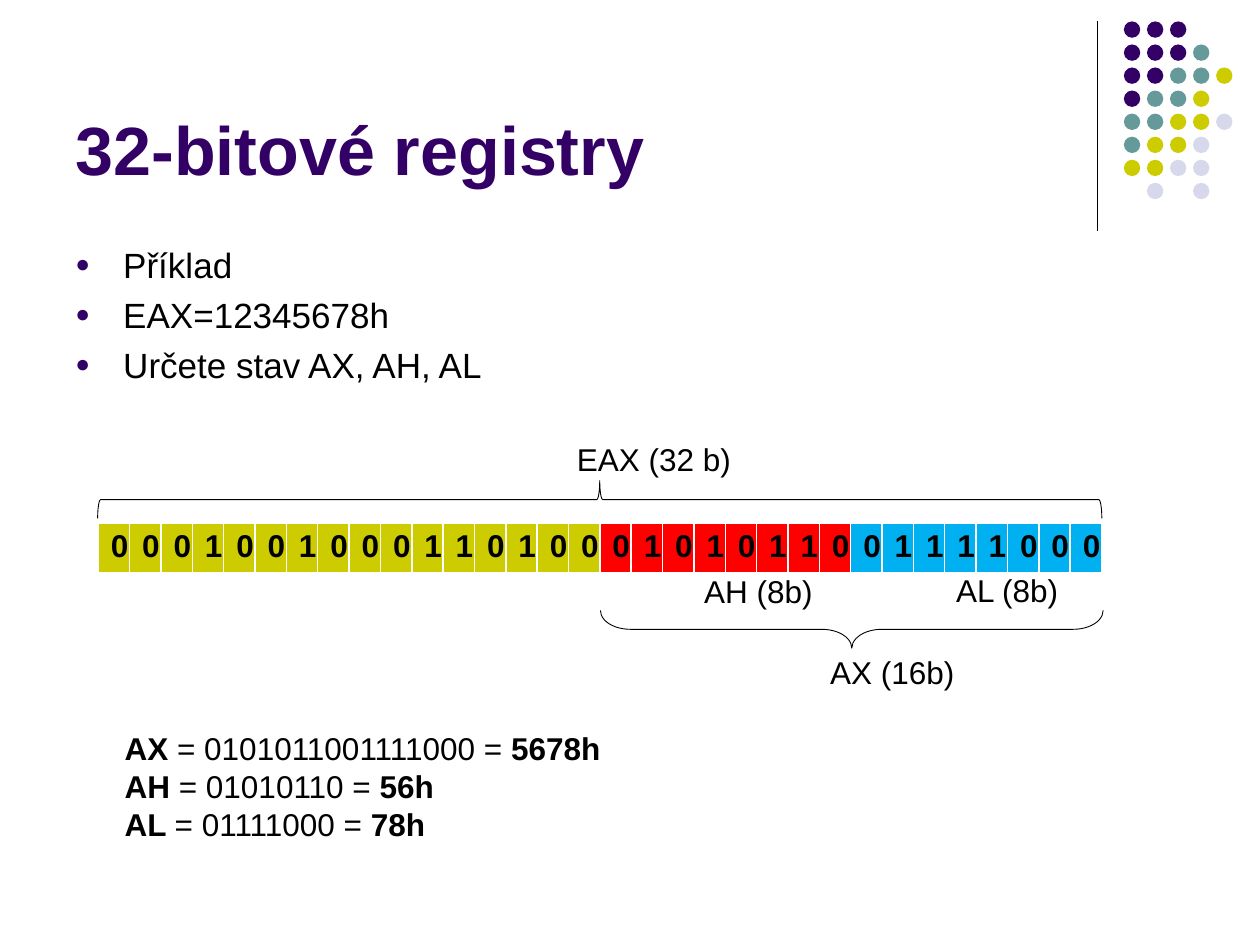
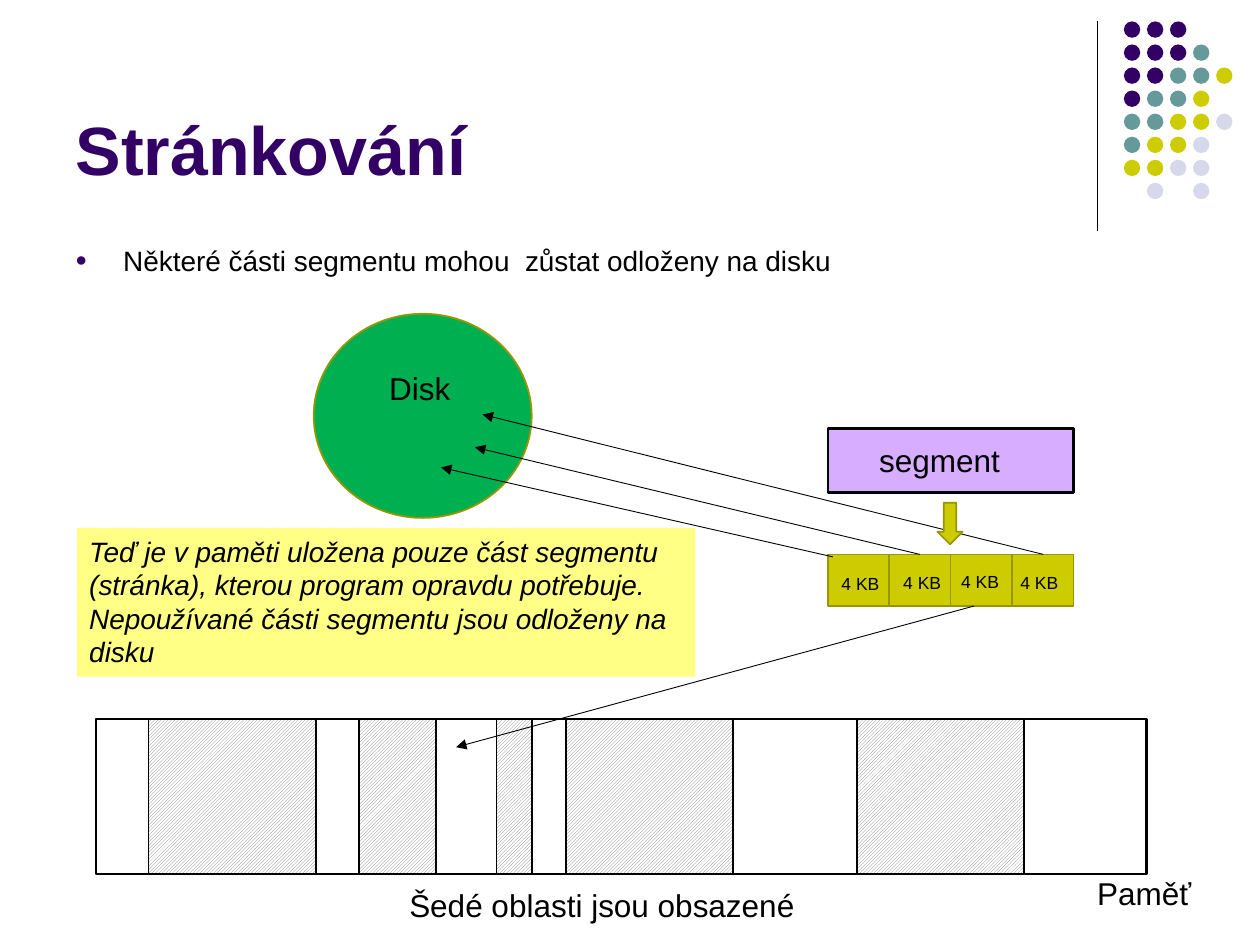
import dataclasses
import typing

import lxml.etree
import pptx
import pptx.dml.color
import pptx.enum.dml
import pptx.enum.shapes
import pptx.enum.text
import pptx.oxml.ns
import pptx.util

COLS, ROWS = 100, 75
FONT = "Arial"
BLACK, WHITE, GREY = "000000", "FFFFFF", "808080"
PURPLE, TEAL, YELLOW, PALE = "330066", "669999", "CCCC00", "D8D8EC"
RED, BLUE, GREEN, LILAC, CREAM, OLIVE = "FF0000", "00B0F0", "00B050", "D6ADFF", "FFFF85", "979700"
SHAPE = pptx.enum.shapes.MSO_SHAPE
ANCHOR = pptx.enum.text.MSO_ANCHOR
ALIGN = pptx.enum.text.PP_ALIGN
DOT_COLOURS = {"P": PURPLE, "T": TEAL, "Y": YELLOW, "L": PALE}
DOT_ROWS = ["PPP", "PPPT", "PPTTY", "PTTY", "TTYYL", "TYYL", "YYLL", ".L.L"]


@dataclasses.dataclass
class Box:
    col: float
    row: float
    cols: float
    rows: float

    def emu(self, prs) -> typing.List[int]:
        w, h = prs.slide_width / COLS, prs.slide_height / ROWS
        return [round(v) for v in (self.col * w, self.row * h, self.cols * w, self.rows * h)]


@dataclasses.dataclass
class Label:
    text: str
    box: Box
    size: float = 18


@dataclasses.dataclass
class Arrow:
    start: typing.Tuple[float, float]
    end: typing.Tuple[float, float]


@dataclasses.dataclass
class Brace:
    box: Box
    rotation: float
    curve: float


prs = pptx.Presentation()
prs.slide_width, prs.slide_height = pptx.util.Inches(10), pptx.util.Inches(7.5)


def rgb(colour: str):
    return pptx.dml.color.RGBColor.from_string(colour)


def sub(parent, tag: str, **attrs: str):
    return lxml.etree.SubElement(parent, pptx.oxml.ns.qn(tag), **attrs)


def write(tf, text: str, *, size: float = 18, colour: str = BLACK, bold: bool = False,
          italic: bool = False, align=ALIGN.LEFT, anchor=ANCHOR.TOP, bullet: bool = False) -> None:
    tf.word_wrap = True
    tf.vertical_anchor = anchor
    for i, line in enumerate(text.split("\n")):
        p = tf.paragraphs[0] if i == 0 else tf.add_paragraph()
        p.alignment = align
        if bullet:
            p.space_before = pptx.util.Pt(round(size * 0.23, 1))
            pPr = p._p.get_or_add_pPr()
            indent = pptx.util.Inches(0.38)
            pPr.set("marL", str(indent))
            pPr.set("indent", str(-indent))
            sub(sub(pPr, "a:buClr"), "a:srgbClr", val=PURPLE)
            sub(pPr, "a:buSzPct", val="70000")
            sub(pPr, "a:buFont", typeface=FONT)
            sub(pPr, "a:buChar", char="●")
        for j, part in enumerate(line.split("*")):
            if part:
                r = p.add_run()
                r.text = part
                r.font.name, r.font.size = FONT, pptx.util.Pt(size)
                r.font.bold, r.font.italic = bold or j % 2 == 1, italic
                r.font.color.rgb = rgb(colour)


def add_label(s, label: Label, **fmt) -> None:
    sp = s.shapes.add_textbox(*label.box.emu(prs))
    write(sp.text_frame, label.text, size=label.size, **fmt)


def add_shape(shapes, kind, box: Box, fill: typing.Optional[str] = None,
              line: typing.Optional[str] = None, width: float = 1, hatched: bool = False):
    sp = shapes.add_shape(kind, *box.emu(prs))
    sp.shadow.inherit = False
    if hatched:
        sp.fill.patterned()
        sp.fill.pattern = pptx.enum.dml.MSO_PATTERN.LIGHT_UPWARD_DIAGONAL
        sp.fill.fore_color.rgb, sp.fill.back_color.rgb = rgb(GREY), rgb(WHITE)
    elif fill:
        sp.fill.solid()
        sp.fill.fore_color.rgb = rgb(fill)
    else:
        sp.fill.background()
    if line:
        sp.line.color.rgb, sp.line.width = rgb(line), pptx.util.Pt(width)
    else:
        sp.line.fill.background()
    return sp


def add_line(s, arrow: Arrow, width: float = 0.5, head: bool = True) -> None:
    x1, y1, x2, y2 = Box(*arrow.start, *arrow.end).emu(prs)
    cn = s.shapes.add_connector(pptx.enum.shapes.MSO_CONNECTOR.STRAIGHT, x1, y1, x2, y2)
    cn.line.color.rgb, cn.line.width = rgb(BLACK), pptx.util.Pt(width)
    if head:
        sub(cn.line._get_or_add_ln(), "a:tailEnd", type="triangle")
    sub(cn._element.spPr, "a:effectLst")


def add_brace(s, brace: Brace) -> None:
    sp = add_shape(s.shapes, SHAPE.RIGHT_BRACE, brace.box, line=BLACK, width=0.5)
    sp.rotation = brace.rotation
    sp.adjustments[0] = brace.curve


def add_slide(title: str, bullets: str, size: float):
    s = prs.slides.add_slide(prs.slide_layouts[5])
    add_line(s, Arrow((87.1, 1.7), (87.1, 18.3)), width=0.75, head=False)
    dots = s.shapes.add_group_shape().shapes
    pitch = 1.83
    for row, keys in enumerate(DOT_ROWS):
        for col, key in enumerate(keys):
            if key in DOT_COLOURS:
                box = Box(89.2 + col * pitch, 1.7 + row * pitch, 1.3, 1.3)
                add_shape(dots, SHAPE.OVAL, box, DOT_COLOURS[key])
    sp = s.shapes.title
    sp.left, sp.top, sp.width, sp.height = Box(5, 1.3, 82.5, 14.2).emu(prs)
    write(sp.text_frame, title, size=39, colour=PURPLE, bold=True, anchor=ANCHOR.BOTTOM)
    add_label(s, Label(bullets, Box(5, 18.8, 90, 48.2), size), bullet=True)
    return s


def add_bits(s, box: Box, groups: typing.List[typing.Tuple[str, str]]) -> None:
    bits = [(bit, fill) for digits, fill in groups for bit in digits]
    left, top, width, height = box.emu(prs)
    table = s.shapes.add_table(1, len(bits), left, top, width, height).table
    table.first_row = table.horz_banding = False
    for i, (bit, fill) in enumerate(bits):
        table.columns[i].width = width // len(bits)
        cell = table.cell(0, i)
        write(cell.text_frame, bit, bold=True, align=ALIGN.CENTER)
        tcPr = cell._tc.get_or_add_tcPr()
        for side, pt in (("L", 1), ("R", 1), ("T", 1), ("B", 3)):
            ln = sub(tcPr, "a:ln" + side, w=str(pptx.util.Pt(pt)))
            sub(sub(ln, "a:solidFill"), "a:srgbClr", val=WHITE)
        cell.fill.solid()
        cell.fill.fore_color.rgb = rgb(fill)


def registers_slide() -> None:
    s = add_slide("32-bitové registry", "Příklad\nEAX=12345678h\nUrčete stav AX, AH, AL", 20)
    add_bits(s, Box(7.8, 41.5, 79.7, 4.1),
             [("0001001000110100", YELLOW), ("01010110", RED), ("01111000", BLUE)])
    add_brace(s, Brace(Box(46.1, -0.2, 3, 79.7), 270, 0.08))
    add_brace(s, Brace(Box(66.1, 30, 3, 39.9), 90, 0.79))
    for label in (
        Label("AX (16b)", Box(64.9, 51.3, 12.5, 4)),
        Label("EAX (32 b)", Box(44.8, 34.4, 14.9, 4)),
        Label("AH (8b)", Box(54.9, 44.9, 12.5, 4)),
        Label("AL (8b)", Box(74.9, 44.8, 12.6, 4)),
        Label("*AX *= 0101011001111000 = *5678h*\n*AH *= 01010110 = *56h*\n"
              "*AL *= 01111000 = *78h*", Box(8.9, 57.4, 41.8, 10.1)),
    ):
        add_label(s, label)


def paging_slide() -> None:
    s = add_slide("Stránkování", "Některé části segmentu mohou  zůstat odloženy na disku", 16)
    add_shape(s.shapes, SHAPE.RECTANGLE, Box(7.6, 57.1, 83.4, 12.3), WHITE, BLACK, 1.25)
    for col, cols in ((11.8, 13.3), (28.5, 6.1), (39.4, 2.8), (44.9, 13.3), (68, 13.3)):
        add_shape(s.shapes, SHAPE.RECTANGLE, Box(col, 57.1, cols, 12.3), line=BLACK, hatched=True)
    add_label(s, Label("Paměť", Box(86.1, 68.9, 11.1, 4)))
    add_label(s, Label("Šedé oblasti jsou obsazené", Box(31.5, 69.8, 50.7, 4)))

    add_shape(s.shapes, SHAPE.RECTANGLE, Box(65.7, 34, 19.5, 5.1), LILAC, BLACK, 1.5)
    add_label(s, Label("segment", Box(68.8, 34.5, 13.3, 4)))
    page = 19.5 / 4
    for i in range(4):
        add_shape(s.shapes, SHAPE.RECTANGLE, Box(65.7 + i * page, 44, page, 4.1), YELLOW, OLIVE)
    for col, row in ((65.8, 45), (70.7, 44.9), (75.3, 44.8), (80, 44.9)):
        add_label(s, Label("4 KB", Box(col, row, 6.2, 2.7), 10))

    add_line(s, Arrow((77.3, 48.1), (36.2, 59.3)))
    add_shape(s.shapes, SHAPE.OVAL, Box(24.9, 24.9, 17.3, 16.2), GREEN, OLIVE)
    add_label(s, Label("Disk", Box(29.9, 28.8, 10.9, 4)))
    for arrow in (
        Arrow((66.1, 44.2), (35, 37.1)),
        Arrow((73, 44), (37.7, 35.5)),
        Arrow((82.8, 44), (38.3, 32.9)),
    ):
        add_line(s, arrow)
    add_shape(s.shapes, SHAPE.DOWN_ARROW, Box(74.4, 39.9, 2, 3.3), YELLOW, OLIVE)

    sp = add_shape(s.shapes, SHAPE.RECTANGLE, Box(6.1, 41.9, 49.1, 11.8), CREAM)
    write(sp.text_frame, "Teď je v paměti uložena pouze část segmentu (stránka), kterou program "
          "opravdu potřebuje. Nepoužívané části segmentu jsou odloženy na disku",
          size=16, italic=True)


registers_slide()
paging_slide()
prs.save("out.pptx")
